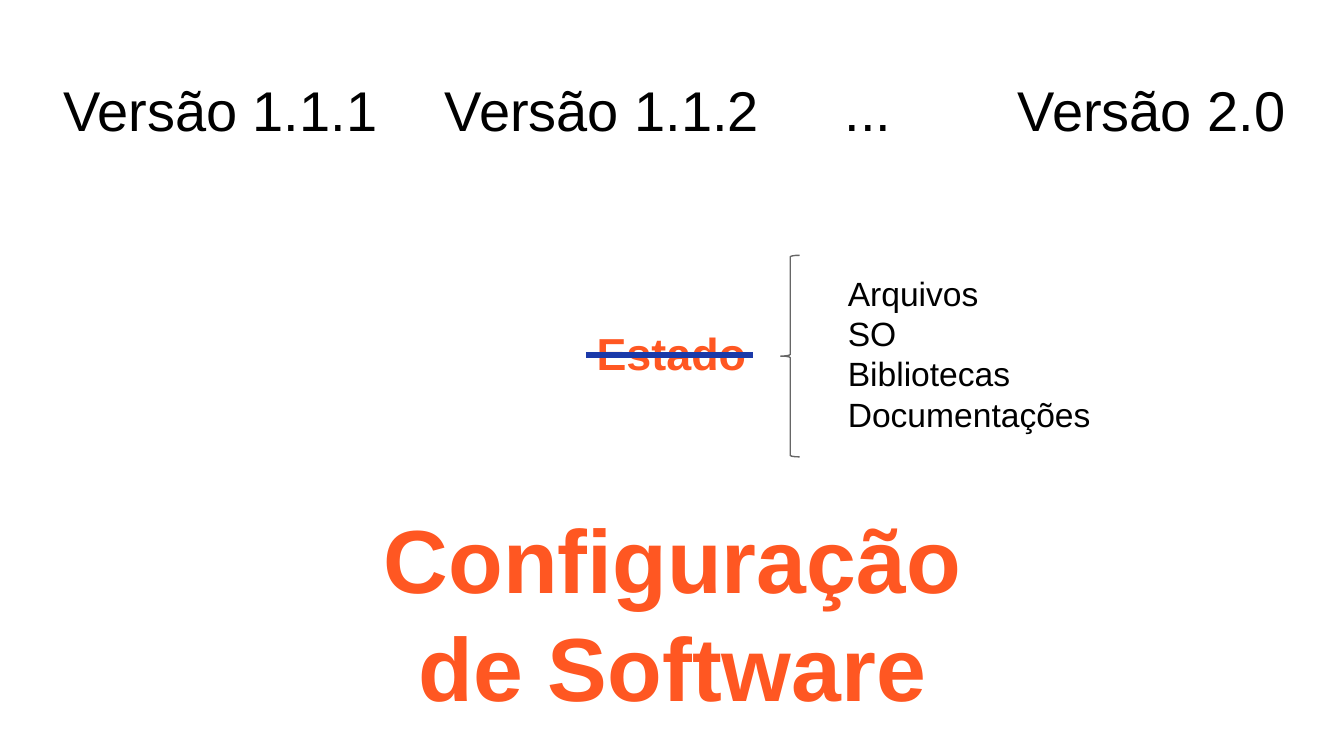
"""Slide on software versions, state and configuration."""
from pptx import Presentation
from pptx.dml.color import RGBColor
from pptx.enum import shapes, text
from pptx.oxml.ns import qn
from pptx.util import Inches, Pt

WIDTH = 10
HEIGHT = WIDTH * 9 / 16
HUES = {"ink": "000000", "accent": "FF5722", "brace": "666666", "strike": "1C3AA9"}
TITLE = "Configuração de Software"
STATE = "Estado"
PARTS = ["Arquivos", "SO", "Bibliotecas", "Documentações"]
VERSIONS = [("Versão 1.1.1", 0.31), ("Versão 1.1.2", 3.15), ("...", 5.13), ("Versão 2.0", 7.24)]
CENTER, LEFT = text.PP_ALIGN.CENTER, text.PP_ALIGN.LEFT


def hue(name):
    return RGBColor.from_string(HUES[name])


def write(shape, lines, size, color="ink", bold=False, align=CENTER):
    frame = shape.text_frame
    frame.word_wrap = True
    frame.auto_size = text.MSO_AUTO_SIZE.NONE
    frame.vertical_anchor = text.MSO_ANCHOR.TOP
    frame.margin_left = frame.margin_right = Inches(0.1)
    frame.margin_top = frame.margin_bottom = Inches(0.1)
    for i, line in enumerate(lines):
        para = frame.add_paragraph() if i else frame.paragraphs[0]
        para.alignment = align
        run = para.add_run()
        run.text = line
        run.font.name = "Arial"
        run.font.size = Pt(size)
        run.font.bold = bold
        run.font.color.rgb = hue(color)


def main():
    deck = Presentation()
    deck.slide_width, deck.slide_height = Inches(WIDTH), Inches(HEIGHT)
    slide = deck.slides.add_slide(deck.slide_layouts[5])
    items = slide.shapes

    def box(*area):
        return items.add_textbox(*map(Inches, area))

    for label, left in VERSIONS:
        write(box(left, 0.46, 2.66, 0.66), [label], 30)
    write(box(3.79, 2.32, 2.41, 0.66), [STATE], 24, "accent", True)
    write(box(6.21, 1.93, 3.33, 1.44), PARTS, 18, align=LEFT)

    brace = items.add_shape(shapes.MSO_SHAPE.LEFT_BRACE, *map(Inches, (5.81, 1.9, 0.14, 1.5)))
    brace.shadow.inherit = False
    brace.adjustments[0] = 0.08
    brace.fill.background()
    brace.line.color.rgb = hue("brace")
    brace.line.width = Pt(0.75)

    title = items.title
    title.left, title.top, title.width, title.height = map(Inches, (2.31, 3.65, 5.39, 1.05))
    write(title, [TITLE], 48, "accent", True)

    strike = items.add_connector(
        shapes.MSO_CONNECTOR.STRAIGHT, *map(Inches, (4.36, 2.64, 5.6, 2.64)))
    strike.line.color.rgb = hue("strike")
    strike.line.width = Pt(3)
    props = strike._element.spPr
    props.append(props.makeelement(qn("a:effectLst"), {}))

    deck.save("out.pptx")


if __name__ == "__main__":
    main()
